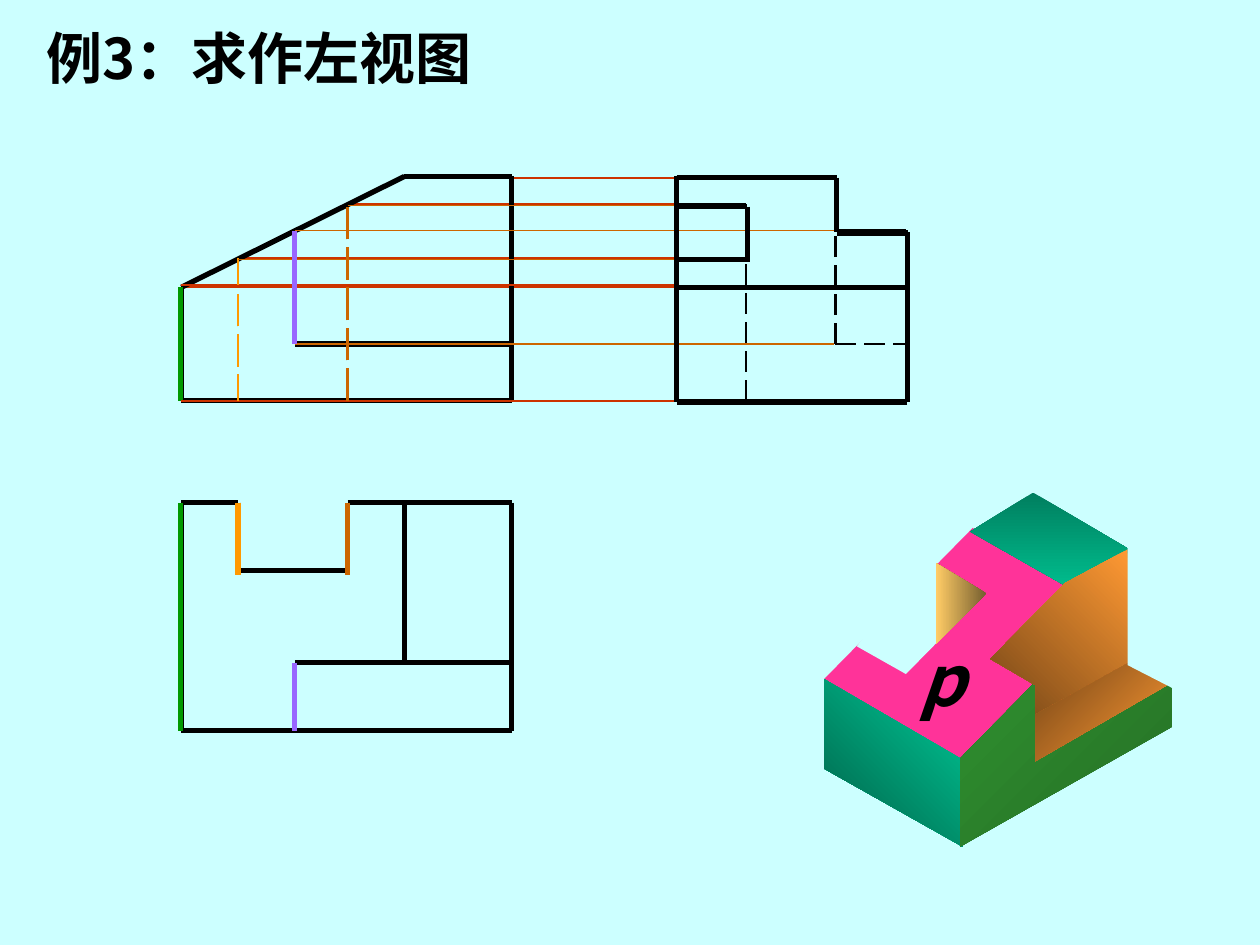
from dataclasses import dataclass

import pptx
import pptx.dml.color
import pptx.enum.dml
import pptx.enum.shapes
import pptx.enum.text
import pptx.oxml.ns
import pptx.util
from lxml import etree
from pptx.util import Inches

FONT = "Noto Sans CJK SC"
BLACK, RED, GREEN = "000000", "CC3300", "009900"
AMBER, BROWN, VIOLET, PAPER = "FF9900", "CC6600", "9966FF", "CCFFFF"

# Shared levels of the three views
X_LEFT, X_SLOT, X_STEP, X_SLOT_END, X_TOP, X_RIGHT = 1.44, 1.89, 2.34, 2.76, 3.21, 4.06
Z_TOP, Z_SLOT_END, Z_STEP, Z_SLOT, Z_LOW, Z_LEDGE, Z_BASE = 1.4, 1.62, 1.83, 2.05, 2.28, 2.73, 3.18
Y_BACK, Y_SLOT, Y_STEP, Y_FRONT = 3.99, 4.53, 5.26, 5.8
S_BACK, S_SLOT, S_STEP, S_FRONT = 5.36, 5.92, 6.63, 7.19
# Spans (bottom, top) of the hidden slot edges in the front view
SLOT_DASHES = [(3.18, 2.97), (2.91, 2.65), (2.59, 2.33), (2.26, 2.05)]
SLOT_END_DASHES = [(3.18 - 0.32 * i, 2.92 - 0.32 * i) for i in range(5)]


@dataclass
class Stroke:
    color: str
    width: float
    segments: list[tuple[float, float, float, float]]
    dashed: bool = False


@dataclass
class Face:
    points: list[tuple[float, float]]
    colors: tuple[str, ...]
    angle: int = 0  # clockwise


def rgb(color: str) -> pptx.dml.color.RGBColor:
    return pptx.dml.color.RGBColor.from_string(color)


def upright(x: float, spans: list[tuple[float, float]]) -> list[tuple[float, float, float, float]]:
    return [(x, start, x, end) for start, end in spans]


def draw_stroke(shapes, stroke: Stroke) -> None:
    for segment in stroke.segments:
        edge = shapes.add_connector(
            pptx.enum.shapes.MSO_CONNECTOR.STRAIGHT, *map(Inches, segment))
        edge.line.color.rgb = rgb(stroke.color)
        edge.line.width = pptx.util.Pt(stroke.width)
        if stroke.dashed:
            edge.line.dash_style = pptx.enum.dml.MSO_LINE.LONG_DASH
        etree.SubElement(edge._element.spPr, pptx.oxml.ns.qn("a:effectLst"))


def draw_face(shapes, face: Face) -> None:
    corners = [(Inches(x), Inches(y)) for x, y in face.points]
    builder = shapes.build_freeform(*corners[0])
    builder.add_line_segments(corners[1:], close=True)
    side = builder.convert_to_shape()
    side.shadow.inherit = False
    side.line.fill.background()
    if len(face.colors) == 1:
        side.fill.solid()
        side.fill.fore_color.rgb = rgb(face.colors[0])
    else:
        side.fill.gradient()
        side.fill.gradient_angle = (360 - face.angle) % 360
        for stop, color, position in zip(side.fill.gradient_stops, face.colors, (0, 1)):
            stop.color.rgb = rgb(color)
            stop.position = position


def set_label(shape, box: tuple[float, float, float, float], text: str, size: int,
              align: pptx.enum.text.PP_ALIGN, italic: bool = False) -> None:
    shape.left, shape.top, shape.width, shape.height = map(Inches, box)
    frame = shape.text_frame
    frame.text = text
    frame.word_wrap = False
    frame.auto_size = pptx.enum.text.MSO_AUTO_SIZE.SHAPE_TO_FIT_TEXT
    frame.vertical_anchor = pptx.enum.text.MSO_ANCHOR.MIDDLE
    frame.paragraphs[0].alignment = align
    run = frame.paragraphs[0].runs[0]
    run.font.size = pptx.util.Pt(size)
    run.font.bold = True
    if italic:
        run.font.italic = True
    run.font.color.rgb = rgb(BLACK)
    run.font.name = FONT
    east_asian = etree.SubElement(run.font._element, pptx.oxml.ns.qn("a:ea"))
    east_asian.set("typeface", FONT)


# Projection lines and the hidden edges of the left view
THIN_LINES = [
    Stroke(RED, 1, [
        (X_TOP, Z_TOP + 0.01, S_BACK, Z_TOP + 0.01), (X_SLOT_END, Z_SLOT_END, S_BACK, Z_SLOT_END),
        (X_SLOT, Z_SLOT, S_SLOT, Z_SLOT), (X_STEP, Z_STEP, S_FRONT, Z_STEP),
        (X_LEFT, Z_LOW, S_FRONT, Z_LOW)]),
    Stroke(BLACK, 1.5, [
        (S_SLOT, Z_BASE, S_SLOT, Z_SLOT), (S_STEP, Z_LEDGE, S_STEP, Z_STEP),
        (S_STEP, Z_LEDGE, S_FRONT, Z_LEDGE)], dashed=True),
    Stroke(BLACK, 1.5, [
        (S_SLOT, Z_SLOT, S_SLOT, Z_SLOT_END), (S_BACK, Z_SLOT_END, S_SLOT, Z_SLOT_END),
        (S_SLOT, Z_SLOT, S_BACK, Z_SLOT)]),
]

# Front view and top view
VIEWS = [
    Stroke(BLACK, 3, [
        (X_STEP, Z_LEDGE, X_RIGHT, Z_LEDGE), (X_LEFT, Z_BASE, X_RIGHT, Z_BASE),
        (X_TOP, Z_TOP, X_LEFT, Z_LOW), (X_STEP, Z_LEDGE, X_STEP, Z_STEP),
        (X_RIGHT, Z_BASE, X_RIGHT, Z_TOP), (X_RIGHT, Z_TOP, X_TOP, Z_TOP),
        (X_LEFT, Z_LOW, X_LEFT, Z_BASE),
        (X_LEFT, Y_BACK, X_SLOT, Y_BACK), (X_SLOT, Y_BACK, X_SLOT, Y_SLOT),
        (X_SLOT, Y_SLOT, X_SLOT_END, Y_SLOT), (X_SLOT_END, Y_BACK, X_SLOT_END, Y_SLOT),
        (X_SLOT_END, Y_BACK, X_RIGHT, Y_BACK), (X_RIGHT, Y_BACK, X_RIGHT, Y_FRONT),
        (X_LEFT, Y_FRONT, X_RIGHT, Y_FRONT), (X_LEFT, Y_BACK, X_LEFT, Y_FRONT),
        (X_TOP, Y_BACK, X_TOP, Y_STEP), (X_STEP, Y_STEP, X_RIGHT, Y_STEP),
        (X_STEP, Y_STEP, X_STEP, Y_FRONT)]),
    Stroke(BLACK, 1.5, upright(X_SLOT, SLOT_DASHES) + upright(X_SLOT_END, SLOT_END_DASHES)),
]

# Solid body, back to front
SOLID = [
    Face([(7.72, 4.19), (8.83, 4.83), (7.62, 6.04), (6.54, 5.39)], ("FF3399",)),
    Face([(7.7, 4.22), (8.2, 3.91), (9.3, 4.56), (8.81, 4.85)], ("007F5F", "00CC99"), 90),
    Face([(6.54, 5.39), (6.54, 6.1), (7.64, 6.72), (7.64, 6.03)], ("00CC99", "005E46"), 135),
    Face([(8.79, 4.83), (9.3, 4.56), (9.3, 5.77), (7.62, 6.72), (7.62, 6.02)],
         ("246E24", "339933"), 225),
    Face([(7.35, 4.42), (7.79, 4.74), (7.19, 5.35), (6.8, 5.13)], (PAPER,)),
    Face([(7.43, 4.47), (7.43, 5.11), (7.83, 4.71)], ("755E2F", "FFCC66"), 180),
    Face([(8.95, 4.36), (8.95, 5.27), (8.22, 5.67), (8.22, 5.44), (7.86, 5.23), (8.45, 4.63)],
         ("FF9933", "754617"), 135),
    Face([(8.22, 5.67), (8.22, 6.04), (9.26, 5.44), (8.96, 5.26)], ("FF9933", "754617"), 225),
    Face([(8.95, 4.34), (8.95, 5.28), (9.36, 5.49), (9.36, 4.45), (9.15, 4.33)], (PAPER,)),
]

# Thin left view, matching edges in colour, then the finished left view
MATCHED_EDGES = [
    Stroke(BLACK, 1.5, [
        (S_BACK, Z_LOW, 7.21, Z_LOW), (S_STEP, Z_STEP, S_FRONT, Z_STEP),
        (S_BACK, 1.42, S_STEP, 1.42), (S_FRONT, Z_LOW, S_FRONT, Z_STEP),
        (S_BACK, Z_SLOT, S_BACK, Z_LOW), (S_BACK, Z_TOP, S_BACK, 1.6),
        (S_BACK, 1.6, S_BACK, Z_SLOT), (S_STEP, Z_STEP, S_STEP, Z_TOP)]),
    Stroke(GREEN, 1.5, [
        (S_BACK, Z_BASE, 7.21, Z_BASE), (S_FRONT, Z_LOW, S_FRONT, Z_BASE),
        (S_BACK, Z_LOW, S_BACK, Z_BASE)]),
    Stroke(GREEN, 3, [(1.43, Z_LOW, 1.43, Z_BASE), (1.43, Y_BACK, 1.43, Y_FRONT)]),
    Stroke(RED, 1, [(X_LEFT, Z_BASE, S_BACK, Z_BASE), (X_LEFT, 2.26, S_BACK, 2.26)]),
    Stroke(AMBER, 1.5, upright(X_SLOT, SLOT_DASHES)),
    Stroke(AMBER, 3, [(X_SLOT, Y_BACK, X_SLOT, 4.56)]),
    Stroke(BROWN, 1.5, upright(X_SLOT_END, SLOT_END_DASHES)),
    Stroke(BROWN, 3, [(X_SLOT_END, Y_BACK, X_SLOT_END, 4.56)]),
    Stroke(BROWN, 0.75, [
        (X_SLOT, 2.06, 5.91, 2.06), (X_STEP, Z_STEP, 6.62, Z_STEP),
        (X_STEP, Z_LEDGE, 6.62, Z_LEDGE), (X_SLOT_END, 1.63, S_BACK, 1.63)]),
    Stroke(VIOLET, 3, [(X_STEP, Z_STEP, X_STEP, Z_LEDGE), (X_STEP, Y_STEP, X_STEP, Y_FRONT)]),
    Stroke(BLACK, 3, [
        (5.37, 1.41, 6.64, 1.41), (6.64, 1.41, 6.64, 1.84), (6.64, 1.85, 7.21, 1.85),
        (7.2, 1.84, 7.2, 3.19), (7.2, 3.19, 5.37, 3.19), (5.37, 3.19, 5.37, 1.41),
        (5.37, 1.64, 5.93, 1.64), (5.93, 1.64, 5.93, 2.08), (5.93, 2.06, 5.37, 2.06),
        (5.37, 2.28, 7.2, 2.28)]),
]


def main() -> None:
    deck = pptx.Presentation()
    deck.slide_width, deck.slide_height = Inches(10), Inches(7.5)
    slide = deck.slides.add_slide(deck.slide_layouts[5])
    slide.background.fill.solid()
    slide.background.fill.fore_color.rgb = rgb(PAPER)

    set_label(slide.shapes.title, (0.27, 0.13, 4.2, 0.64), "例3：求作左视图", 32,
              pptx.enum.text.PP_ALIGN.LEFT)
    for stroke in THIN_LINES + VIEWS:
        draw_stroke(slide.shapes, stroke)
    for face in SOLID:
        draw_face(slide.shapes, face)
    face_box = (7.2, 5, 0.53, 0.77)
    face_name = slide.shapes.add_textbox(*map(Inches, face_box))
    set_label(face_name, face_box, "p", 40, pptx.enum.text.PP_ALIGN.CENTER, italic=True)
    for stroke in MATCHED_EDGES:
        draw_stroke(slide.shapes, stroke)

    deck.save("out.pptx")


if __name__ == "__main__":
    main()
